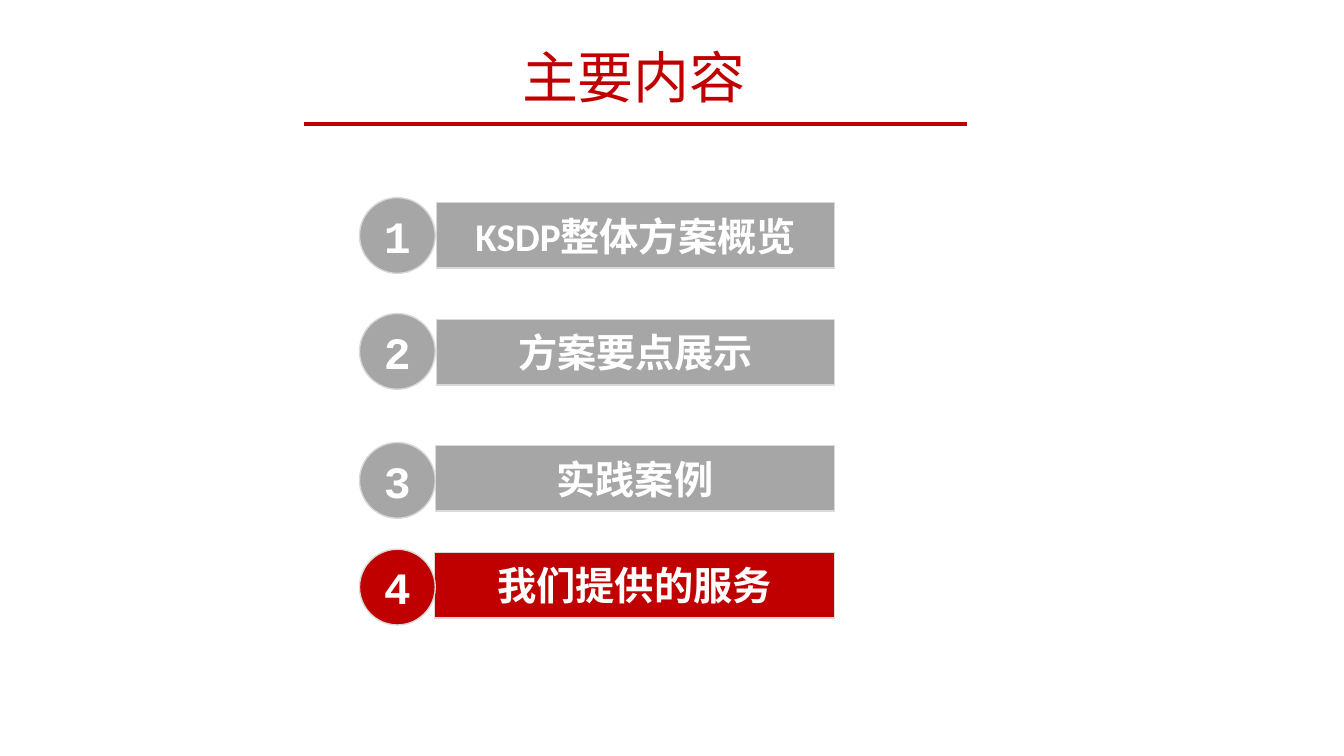
from pptx import Presentation
from pptx.dml.color import RGBColor
from pptx.enum import shapes, text
from pptx.oxml import ns
from pptx.util import Cm, Pt
from lxml import etree

RED = RGBColor(0xC0, 0x00, 0x00)
GREY = RGBColor(0xA6, 0xA6, 0xA6)
OUTLINE = RGBColor(0xD9, 0xD9, 0xD9)
WHITE = RGBColor(0xFF, 0xFF, 0xFF)

TITLE = "主要内容"
AGENDA = [
    ("KSDP整体方案概览", 4.98, 5.11, 11.0),
    ("方案要点展示", 7.9, 8.05, 11.0),
    ("实践案例", 11.15, 11.23, 10.97),
    ("我们提供的服务", 13.84, 13.92, 10.95),
]
CURRENT = 4
CIRCLE_LEFT, CIRCLE_SIZE = 9.06, 1.91
BAR_RIGHT, BAR_HEIGHT = 21.03, 1.65


def set_text(shape, words, font_name, size, color, bold):
    """Write one centred paragraph in the middle of a shape."""
    frame = shape.text_frame
    frame.word_wrap = True
    frame.vertical_anchor = text.MSO_ANCHOR.MIDDLE
    paragraph = frame.paragraphs[0]
    paragraph.text = words
    paragraph.alignment = text.PP_ALIGN.CENTER
    font = paragraph.font
    font.name, font.size, font.bold = font_name, Pt(size), bold
    font.color.rgb = color


def add_label(slide, kind, box, fill, words, font_name, size):
    """Add a filled, outlined shape with bold white text."""
    shape = slide.shapes.add_shape(kind, *map(Cm, box))
    shape.shadow.inherit = False
    shape.fill.solid()
    shape.fill.fore_color.rgb = fill
    shape.line.color.rgb = OUTLINE
    shape.line.width = Pt(1)
    set_text(shape, words, font_name, size, WHITE, True)


def add_title(slide):
    """Place the title and the red rule below it."""
    title = slide.shapes.title
    title.left, title.top, title.width, title.height = map(Cm, (5.18, 0.91, 21.59, 2.03))
    set_text(title, TITLE, "Calibri", 40, RED, False)
    rule = slide.shapes.add_connector(
        shapes.MSO_CONNECTOR.STRAIGHT, Cm(7.65), Cm(3.13), Cm(24.38), Cm(3.13))
    rule.line.color.rgb = RED
    rule.line.width = Pt(3)
    etree.SubElement(rule._element.spPr, ns.qn("a:effectLst"))


def main():
    """Build the agenda slide."""
    presentation = Presentation()
    presentation.slide_width, presentation.slide_height = Cm(33.87), Cm(19.05)
    slide = presentation.slides.add_slide(presentation.slide_layouts.get_by_name("Title Only"))
    add_title(slide)
    for number, (topic, circle_top, bar_top, bar_left) in enumerate(AGENDA, 1):
        fill = RED if number == CURRENT else GREY
        bar = (bar_left, bar_top, BAR_RIGHT - bar_left, BAR_HEIGHT)
        circle = (CIRCLE_LEFT, circle_top, CIRCLE_SIZE, CIRCLE_SIZE)
        add_label(slide, shapes.MSO_SHAPE.RECTANGLE, bar, fill, topic, "Calibri", 28)
        add_label(slide, shapes.MSO_SHAPE.OVAL, circle, fill, str(number), "Courier New", 32)
    presentation.save("out.pptx")


if __name__ == "__main__":
    main()
